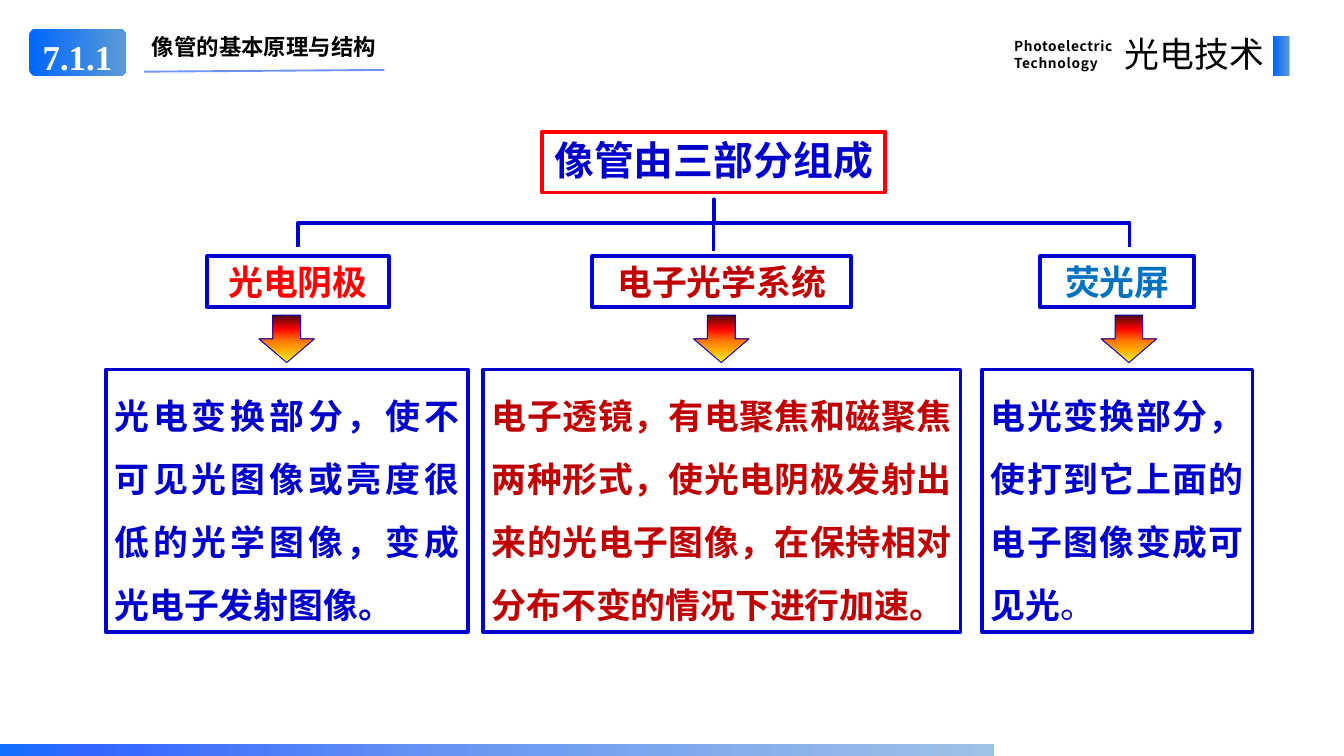
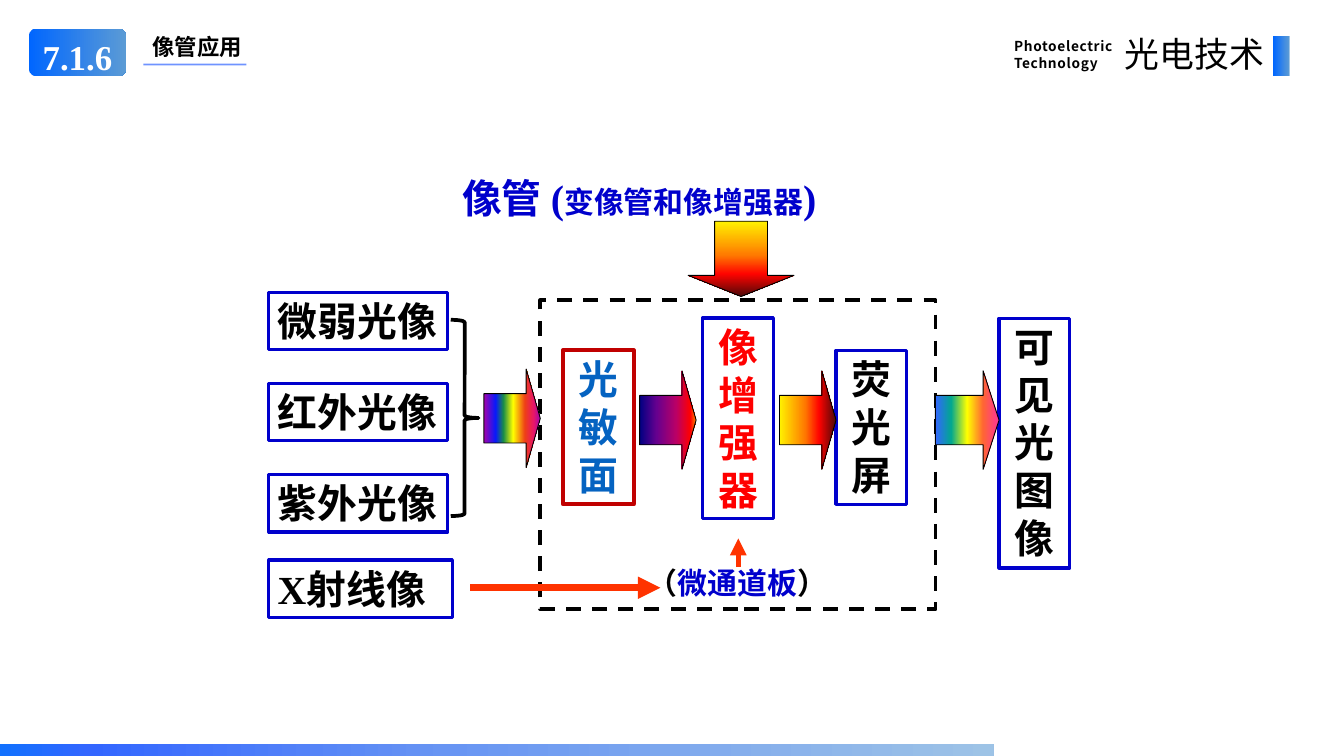
from lxml import etree
from pptx import Presentation
from pptx.dml.color import RGBColor
from pptx.enum import dml, shapes, text
from pptx.oxml.ns import qn
from pptx.util import Pt

SANS, SERIF = "Noto Sans CJK SC", "Times New Roman"
BLACK = RGBColor(0, 0, 0)
WHITE = RGBColor(255, 255, 255)
NAVY = RGBColor(0, 0, 0xCC)
RED = RGBColor(255, 0, 0)
CRIMSON = RGBColor(0xC0, 0, 0)
AZURE = RGBColor(0, 0x70, 0xC0)
LINK_BLUE = RGBColor(0x05, 0x63, 0xC1)
RULE_BLUE = RGBColor(0x33, 0x66, 0xFF)
ORANGE = RGBColor(0xFF, 0x33, 0)

BRAND = [(0, "0066FF"), (100, "5B9BD5")]
FOOTER = [(0, "1271FE"), (9, "3366FF"), (45, "6895F3"), (100, "9DC3E6")]
FIRE = [(0, "FFF200"), (45, "FF7A00"), (70, "FF0300"), (100, "4D0808")]
SPECTRUM = [(0, "A603AB"), (21, "0819FB"), (35, "1A8D48"), (52, "FFFF00"),
            (73, "EE3F17"), (88, "E81766"), (100, "A603AB")]
DUSK = [(0, "000082"), (30, "66008F"), (65, "BA0066"), (90, "FF0000"), (100, "FF8200")]
RAINBOW = [(0, "FF3399"), (25, "FF6633"), (50, "FFFF00"), (75, "01A78F"), (100, "3366FF")]

SHAPE = shapes.MSO_SHAPE
ALIGN = text.PP_ALIGN
ANCHOR = text.MSO_ANCHOR
FIT = text.MSO_AUTO_SIZE

HEADERS = [
    {"number": "7.1.1", "title": "像管的基本原理与结构", "box": (106.6, 23, 211, 28.8),
     "align": ALIGN.CENTER, "rule": (115.9, 57.6, 308.9, 56.2)},
    {"number": "7.1.6", "title": "像管应用", "box": (115.2, 23, 100, 28.8),
     "align": ALIGN.LEFT, "rule": (115.2, 51.8, 198, 51.8)},
]

PARTS = [
    {"name": "光电阴极", "color": RED, "label": (166.3, 146.2), "arrow": 208.1,
     "detail": (85, 290.9),
     "runs": [("光电变换部分，使不可见光图像或亮度很低的光学图像，变成光电子发射图像。", 28, NAVY)]},
    {"name": "电子光学系统", "color": CRIMSON, "label": (475.9, 208), "arrow": 557.3,
     "detail": (388.1, 383.8),
     "runs": [("电子透镜，有电聚焦和磁聚焦两种形式，使光电阴极发射出来的光电子图像，"
               "在保持相对分布不变的情况下进行加速。", 28, CRIMSON)]},
    {"name": "荧光屏", "color": AZURE, "label": (835.9, 123.8), "arrow": 884.9,
     "detail": (789.1, 217.4),
     "runs": [("电光变换部分，使打到它上面的电子图像变成可见光", 28, NAVY), ("。", 28, NAVY, False)]},
]

INPUTS = ["微弱光像", "红外光像", "紫外光像"]
STAGES = [
    ("光敏面", LINK_BLUE, (452.2, 281.5, 57, 123.8), (CRIMSON, 3)),
    ("像增强器", RED, (564.5, 255.6, 57, 161.3), (NAVY, 2.5)),
    ("荧光屏", BLACK, (671.8, 281.5, 57, 123.8), (NAVY, 2.5)),
    ("可见光图像", BLACK, (802.8, 255.6, 57, 200.9), (NAVY, 2.5)),
]
FLOWS = [
    (388.8, 296.6, 45.4, SPECTRUM, 0),
    (514, 298, 45.4, DUSK, 0),
    (626.4, 298, 45.4, FIRE, 0),
    (751.7, 298, 51.1, RAINBOW, 180),
]


def apply(target, **values):
    for name, value in values.items():
        setattr(target, name, value)


def place(shape, box):
    apply(shape, **dict(zip(("left", "top", "width", "height"), map(Pt, box))))


def fill_gradient(shape, stops, angle):
    shape.fill.gradient()
    shape.fill.gradient_angle = (360 - angle) % 360
    stop_list = shape.element.spPr.find(qn("a:gradFill")).find(qn("a:gsLst"))
    for stop in list(stop_list):
        stop_list.remove(stop)
    for position, color in stops:
        stop = etree.SubElement(stop_list, qn("a:gs"), pos=str(position * 1000))
        etree.SubElement(stop, qn("a:srgbClr"), val=color)


def write(shape, paragraphs, font=SANS, align=ALIGN.LEFT, anchor=ANCHOR.TOP, wrap=True,
          fit=FIT.SHAPE_TO_FIT_TEXT, spacing=None, tracking=None, margins=None):
    frame = shape.text_frame
    apply(frame, word_wrap=wrap, auto_size=fit, vertical_anchor=anchor)
    if margins:
        names = ("margin_left", "margin_top", "margin_right", "margin_bottom")
        apply(frame, **dict(zip(names, map(Pt, margins))))
    for index, runs in enumerate(paragraphs):
        paragraph = frame.add_paragraph() if index else frame.paragraphs[0]
        apply(paragraph, alignment=align, line_spacing=spacing)
        for content, size, color, *bold in runs:
            run = paragraph.add_run()
            run.text = content
            apply(run.font, size=Pt(size), bold=bold[0] if bold else True, name=font)
            run.font.color.rgb = color
            properties = run.font._element
            etree.SubElement(properties, qn("a:ea"), typeface=SANS)
            if tracking:
                properties.set("spc", str(int(tracking * 100)))


def add_shape(slide, kind, box, fill=None, angle=0, line=None, adjustments=()):
    shape = slide.shapes.add_shape(kind, *map(Pt, box))
    shape.shadow.inherit = False
    for index, value in enumerate(adjustments):
        shape.adjustments[index] = value
    if fill is None:
        shape.fill.background()
    elif isinstance(fill, RGBColor):
        shape.fill.solid()
        shape.fill.fore_color.rgb = fill
    else:
        fill_gradient(shape, fill, angle)
    if line:
        shape.line.color.rgb, shape.line.width = line[0], Pt(line[1])
    else:
        shape.line.fill.background()
    return shape


def add_box(slide, box, line, runs, **format_values):
    write(add_shape(slide, SHAPE.RECTANGLE, box, line=line), [runs], **format_values)


def add_text(slide, box, paragraphs, **format_values):
    write(slide.shapes.add_textbox(*map(Pt, box)), paragraphs, **format_values)


def add_line(slide, ends, color, width, arrow=False, opacity=None):
    line = slide.shapes.add_connector(shapes.MSO_CONNECTOR.STRAIGHT, *map(Pt, ends))
    line.line.color.rgb, line.line.width = color, Pt(width)
    properties = line.element.spPr
    outline = properties.find(qn("a:ln"))
    if opacity:
        etree.SubElement(next(outline.iter(qn("a:srgbClr"))), qn("a:alpha"),
                         val=str(opacity * 1000))
    if arrow:
        etree.SubElement(outline, qn("a:tailEnd"), type="triangle")
    etree.SubElement(properties, qn("a:effectLst"))


def add_framed_slide(presentation, header):
    slide = presentation.slides.add_slide(presentation.slide_layouts[5])
    title = slide.shapes.title
    place(title, header["box"])
    write(title, [[(header["title"], 18, BLACK)]], align=header["align"])
    add_text(slide, (807.8, 25.9, 95, 35.3),
             [[("Photoelectric", 11, BLACK)], [("Technology", 11, BLACK)]],
             spacing=Pt(14), tracking=0.5)
    add_shape(slide, SHAPE.RECTANGLE, (1023.1, 28.8, 13, 32.4), BRAND)
    badge = add_shape(slide, SHAPE.ROUNDED_RECTANGLE, (23, 23, 78.5, 38.2), BRAND)
    write(badge, [[(header["number"], 28, WHITE)]], font=SERIF, align=ALIGN.CENTER,
          anchor=ANCHOR.MIDDLE, fit=FIT.NONE, margins=(7.2, 7.2, 7.2, 0))
    add_text(slide, (886.3, 23, 136.8, 41), [[("光电技术", 28, BLACK, False)]],
             align=ALIGN.RIGHT, tracking=0.2)
    add_shape(slide, SHAPE.RECTANGLE, (0, 597.6, 798.5, 10), FOOTER)
    add_line(slide, header["rule"], RULE_BLUE, 1.5, opacity=70)
    return slide


def build_structure(slide):
    outline = (NAVY, 3)
    add_box(slide, (435.6, 105.8, 275.8, 49), (RED, 3),
            [("像管由三部分组成", 32, NAVY)], align=ALIGN.CENTER)
    branch = add_shape(slide, SHAPE.RIGHT_BRACE, (554.4, -154.8, 38.2, 668.2), WHITE,
                       line=outline, adjustments=(0, 0.5))
    branch.rotation = 270
    add_line(slide, (573.3, 180.7, 573.3, 201.6), *outline)
    for part in PARTS:
        left, width = part["label"]
        add_box(slide, (left, 206, width, 41), outline,
                [(part["name"], 28, part["color"])], align=ALIGN.CENTER)
        add_shape(slide, SHAPE.DOWN_ARROW, (part["arrow"], 253.2, 44.6, 38.2), FIRE, 270,
                  (NAVY, 0.75), (0.5, 0.5))
        left, width = part["detail"]
        add_box(slide, (left, 297, width, 211), outline, part["runs"],
                align=ALIGN.JUSTIFY, spacing=1.5)


def build_application(slide):
    outline, thin = (NAVY, 2.5), (BLACK, 0.75)
    add_text(slide, (356.4, 133.2, 441.4, 56.2),
             [[("像管 (", 32, NAVY), ("变像管和像增强器", 24, NAVY), (")", 32, NAVY)]],
             font=SERIF, anchor=ANCHOR.MIDDLE, fit=FIT.NONE, spacing=0.9,
             margins=(15, 4.3, 7.9, 4.3))
    for row, name in enumerate(INPUTS):
        add_box(slide, (216, 234.7 + 73.4 * row, 144, 46), outline,
                [(name, 32, BLACK)], font=SERIF, wrap=False)
    add_box(slide, (216, 450, 147.6, 46), outline, [("X射线像", 32, BLACK)], font=SERIF)
    add_text(slide, (513.4, 450, 159, 36),
             [[("（", 24, BLACK), ("微通道板", 24, NAVY), ("）", 24, BLACK)]],
             font=SERIF, wrap=False)
    for name, color, box, line in STAGES:
        add_box(slide, box, line, [(name, 32, color)], font=SERIF, align=ALIGN.CENTER)
    tube = add_shape(slide, SHAPE.RECTANGLE, (434.2, 241.2, 317.5, 248.4), line=(BLACK, 3))
    tube.line.dash_style = dml.MSO_LINE.DASH
    for left, top, width, stops, angle in FLOWS:
        add_shape(slide, SHAPE.RIGHT_ARROW, (left, top, width, 79.2), stops, angle,
                  thin, (0.5, 0.25))
    add_shape(slide, SHAPE.DOWN_ARROW, (553, 177.8, 85, 60.5), FIRE, 90, thin, (0.5, 0.28))
    add_line(slide, (378, 472.3, 530.6, 472.3), ORANGE, 6, arrow=True)
    add_line(slide, (593.3, 455.8, 593.3, 432.7), ORANGE, 4.5, arrow=True)
    add_shape(slide, SHAPE.RIGHT_BRACE, (362.2, 257, 22.3, 157.7), line=(BLACK, 3))


def main():
    presentation = Presentation()
    apply(presentation, slide_width=Pt(1080), slide_height=Pt(607.5))
    for header, build in zip(HEADERS, (build_structure, build_application)):
        build(add_framed_slide(presentation, header))
    presentation.save("out.pptx")


if __name__ == "__main__":
    main()
